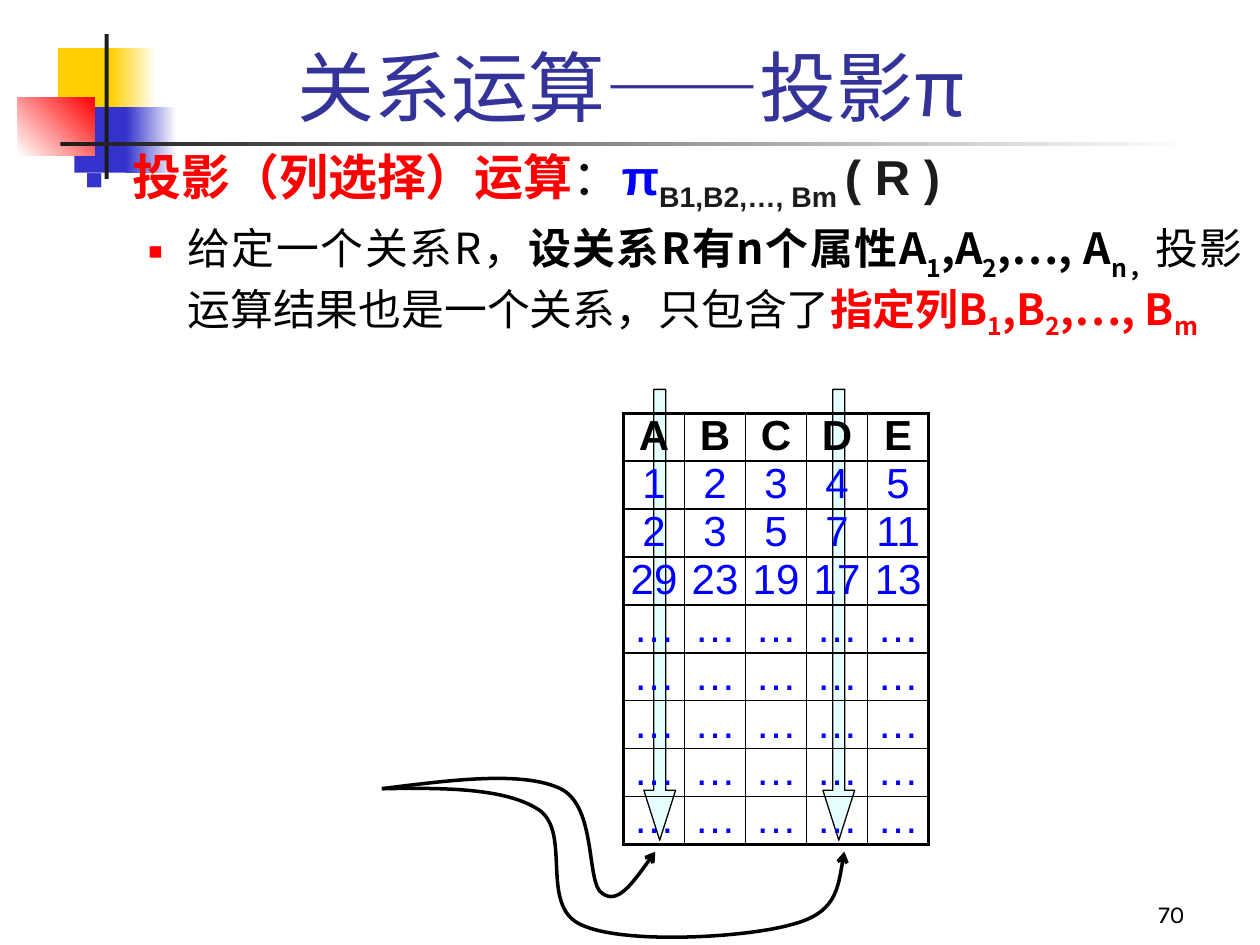
from dataclasses import dataclass
from typing import Optional

from lxml.etree import SubElement
from pptx import Presentation
from pptx.dml.color import RGBColor
from pptx.enum.shapes import MSO_SHAPE
from pptx.enum.text import MSO_ANCHOR, PP_ALIGN
from pptx.oxml.ns import qn
from pptx.util import Cm, Pt

COLORS = {
    "yellow": "FFCF01", "indigo": "3333CC", "red": "FF0000", "ink": "1C1C1C",
    "white": "FFFFFF", "black": "000000", "title": "333399", "blue": "0000FF",
    "ice": "CCFFFF",
}
CJK = "Noto Sans CJK SC"


@dataclass
class Block:
    left: float
    top: float
    width: float
    height: float
    start: str
    end: Optional[str] = None
    angle: float = 0


@dataclass
class Span:
    text: str
    size: float
    color: str = "black"
    bold: bool = False
    font: str = CJK
    baseline: int = 0


@dataclass
class Bullet:
    color: str
    percent: int
    margin: float
    hanging: float


def rgb(name: str) -> RGBColor:
    return RGBColor.from_string(COLORS[name])


def assign(target, values: dict) -> None:
    for name, value in values.items():
        setattr(target, name, value)


def add_block(page, block: Block) -> None:
    shape = page.shapes.add_shape(
        MSO_SHAPE.RECTANGLE, Cm(block.left), Cm(block.top), Cm(block.width), Cm(block.height))
    shape.shadow.inherit = False
    shape.line.fill.background()
    if block.end is None:
        shape.fill.solid()
        shape.fill.fore_color.rgb = rgb(block.start)
        return
    shape.fill.gradient()
    shape.fill.gradient_angle = block.angle
    for stop, color in zip(shape.fill.gradient_stops, (block.start, block.end)):
        stop.color.rgb = rgb(color)


def add_spans(para, spans: list[Span]) -> None:
    for item in spans:
        span = para.add_run()
        span.text = item.text
        assign(span.font, {"size": Pt(item.size), "bold": item.bold, "name": item.font})
        span.font.color.rgb = rgb(item.color)
        properties = span._r.get_or_add_rPr()
        SubElement(properties, qn("a:ea"), typeface=CJK)
        if item.baseline:
            properties.set("baseline", str(item.baseline * 1000))


def add_bullet(para, bullet: Bullet) -> None:
    properties = para._p.get_or_add_pPr()
    properties.set("marL", str(Cm(bullet.margin)))
    properties.set("indent", str(-Cm(bullet.hanging)))
    color = SubElement(properties, qn("a:buClr"))
    SubElement(color, qn("a:srgbClr"), val=COLORS[bullet.color])
    SubElement(properties, qn("a:buSzPct"), val=str(bullet.percent * 1000))
    SubElement(properties, qn("a:buFont"), typeface="Arial")
    SubElement(properties, qn("a:buChar"), char="■")


def add_box(page, left: float, top: float, width: float, height: float, anchor):
    box = page.shapes.add_textbox(Cm(left), Cm(top), Cm(width), Cm(height))
    assign(box.text_frame, {"word_wrap": True, "vertical_anchor": anchor})
    return box.text_frame


def add_column_arrow(page, left: float) -> None:
    arrow = page.shapes.add_shape(MSO_SHAPE.DOWN_ARROW, Cm(left), Cm(7.85), Cm(0.64), Cm(9.09))
    arrow.shadow.inherit = False
    arrow.adjustments[0] = 0.375
    arrow.adjustments[1] = 1.573
    arrow.fill.solid()
    arrow.fill.fore_color.rgb = rgb("ice")
    SubElement(arrow.fill._xPr.find(qn("a:solidFill"))[0], qn("a:alpha"), val="50000")
    arrow.line.color.rgb = rgb("black")
    arrow.line.width = Pt(0.75)


def add_curve(page, points: list[tuple[float, float]]) -> None:
    start, *controls = [(Cm(x), Cm(y)) for x, y in points]
    builder = page.shapes.build_freeform(*start)
    builder.add_line_segments(controls, close=False)
    curve = builder.convert_to_shape()
    curve.shadow.inherit = False
    curve.fill.background()
    curve.line.color.rgb = rgb("black")
    curve.line.width = Pt(2)
    SubElement(curve.line._get_or_add_ln(), qn("a:tailEnd"), type="arrow")
    outline = next(curve._element.iter(qn("a:path")))
    segments = outline.findall(qn("a:lnTo"))
    for first in range(0, len(segments), 3):
        bezier = SubElement(outline, qn("a:cubicBezTo"))
        for segment in segments[first:first + 3]:
            bezier.append(segment[0])
            outline.remove(segment)


def add_border(cell, side: str, width: float) -> None:
    line = SubElement(cell._tc.get_or_add_tcPr(), qn(f"a:ln{side}"), w=str(Pt(width)))
    SubElement(SubElement(line, qn("a:solidFill")), qn("a:srgbClr"), val=COLORS["black"])


def add_relation(page, rows: list[list[str]]) -> None:
    height, width = len(rows), len(rows[0])
    table = page.shapes.add_table(
        height, width, Cm(12.57), Cm(8.33), Cm(1.23 * width), Cm(0.945 * height)).table
    assign(table, {"first_row": False, "horz_banding": False})
    for column in table.columns:
        column.width = Cm(1.23)
    for r, values in enumerate(rows):
        table.rows[r].height = Cm(0.945)
        for c, value in enumerate(values):
            cell = table.cell(r, c)
            assign(cell, {"margin_left": 0, "margin_right": 0, "margin_top": 0,
                          "margin_bottom": 0, "vertical_anchor": MSO_ANCHOR.MIDDLE})
            edges = {"L": c == 0, "R": c == width - 1, "T": r == 0, "B": r == height - 1}
            for side, outer in edges.items():
                add_border(cell, side, 2.25 if outer else 1)
            cell.fill.background()
            para = cell.text_frame.paragraphs[0]
            assign(para, {"alignment": PP_ALIGN.CENTER, "line_spacing": 0.95})
            add_spans(para, [Span(value, 24, "blue" if r else "black", r == 0, "Arial")])


BLOCKS = [
    Block(1.17, 0.97, 1.22, 1.32, "yellow"),
    Block(2.24, 0.97, 0.91, 1.32, "yellow", "white"),
    Block(1.5, 2.16, 1.17, 1.32, "indigo"),
    Block(2.54, 2.16, 1.02, 1.32, "indigo", "white"),
    Block(0.36, 1.96, 1.55, 1.17, "white", "red", 45),
    Block(2.11, 0.69, 0.08, 2.92, "ink"),
    Block(1.22, 2.87, 22.86, 0.08, "ink", "white"),
]
HEADING = [
    Span("投影（列选择）运算", 28, "red", True),
    Span("：", 28),
    Span("π", 28, "blue", True, "Arial"),
    Span("B1,B2,…, Bm ", 28, "ink", True, "Arial", -25),
    Span("( R ) ", 28, "ink", True, "Arial"),
]
DEFINITION = [
    Span("给定一个关系R，", 24.5),
    *[Span(text, 24.5, "black", True, CJK, base) for text, base in (
        ("设关系R有n个属性A", 0), ("1", -30), (",A", 0), ("2", -30), (",…, A", 0), ("n，", -30))],
    Span("投影运算结果也是一个关系，只包含了", 24.5),
    *[Span(text, 24.5, "red", True, CJK, base) for text, base in (
        ("指定列B", 0), ("1", -25), (",B", 0), ("2", -25), (",…, B", 0), ("m", -25))],
]
CURVES = [
    [(7.7, 15.9), (9.12, 15.72), (10.54, 15.54), (11.3, 15.9), (12.04, 16.26), (11.81, 17.81),
     (12.14, 18.01), (12.45, 18.24), (12.83, 17.7), (13.21, 17.17)],
    [(7.7, 15.9), (8.94, 15.88), (10.19, 15.88), (10.87, 16.33), (11.53, 16.79), (10.87, 18.26),
     (11.71, 18.64), (12.57, 19.05), (15.06, 18.9), (15.95, 18.64), (16.84, 18.42),
     (16.92, 17.78), (17.02, 17.17)],
]
RELATION = [
    list("ABCDE"),
    ["1", "2", "3", "4", "5"],
    ["2", "3", "5", "7", "11"],
    ["29", "23", "19", "17", "13"],
    *[["…"] * 5 for _ in range(5)],
]


def main() -> None:
    deck = Presentation()
    assign(deck, {"slide_width": Cm(25.4), "slide_height": Cm(19.05)})
    page = deck.slides.add_slide(deck.slide_layouts[6])
    for block in BLOCKS:
        add_block(page, block)

    title = add_box(page, 1.9, 0.64, 21.64, 2.18, MSO_ANCHOR.MIDDLE).paragraphs[0]
    title.alignment = PP_ALIGN.CENTER
    add_spans(title, [Span("关系运算——投影π", 44, "title")])

    body = add_box(page, 1.47, 2.82, 23.83, 7.42, MSO_ANCHOR.TOP)
    heading, definition = body.paragraphs[0], body.add_paragraph()
    add_bullet(heading, Bullet("indigo", 60, 0.95, 0.95))
    add_bullet(definition, Bullet("red", 55, 2.06, 0.79))
    definition.space_before = Pt(4.9)
    for para, spans in ((heading, HEADING), (definition, DEFINITION)):
        para.alignment = PP_ALIGN.JUSTIFY
        add_spans(para, spans)

    number = add_box(page, 18.85, 17.58, 5.28, 1.27, MSO_ANCHOR.BOTTOM).paragraphs[0]
    number.alignment = PP_ALIGN.RIGHT
    add_spans(number, [Span("70", 14, font="Karla")])

    for left in (12.98, 16.59):
        add_column_arrow(page, left)
    for points in CURVES:
        add_curve(page, points)
    add_relation(page, RELATION)
    deck.save("out.pptx")


if __name__ == "__main__":
    main()
